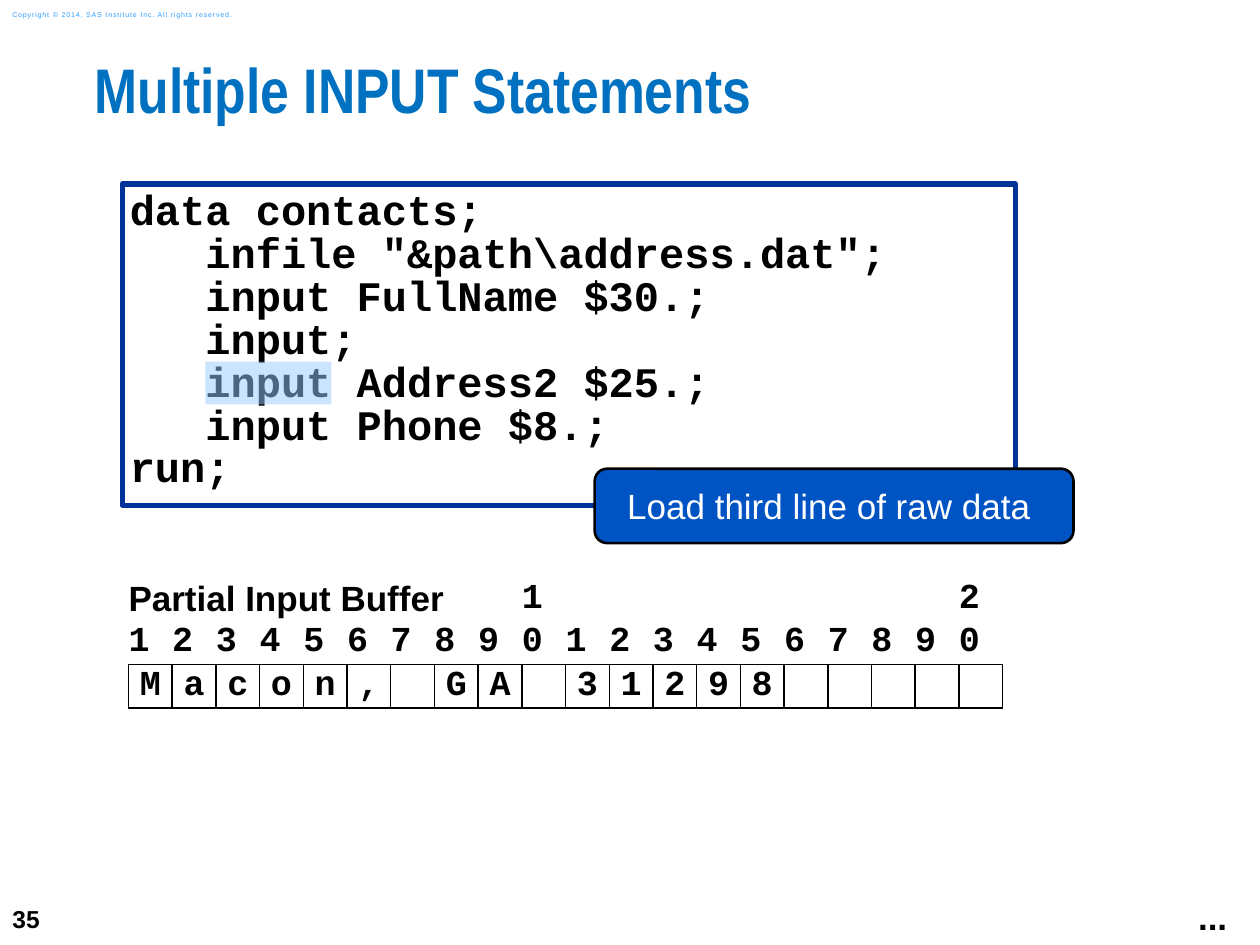
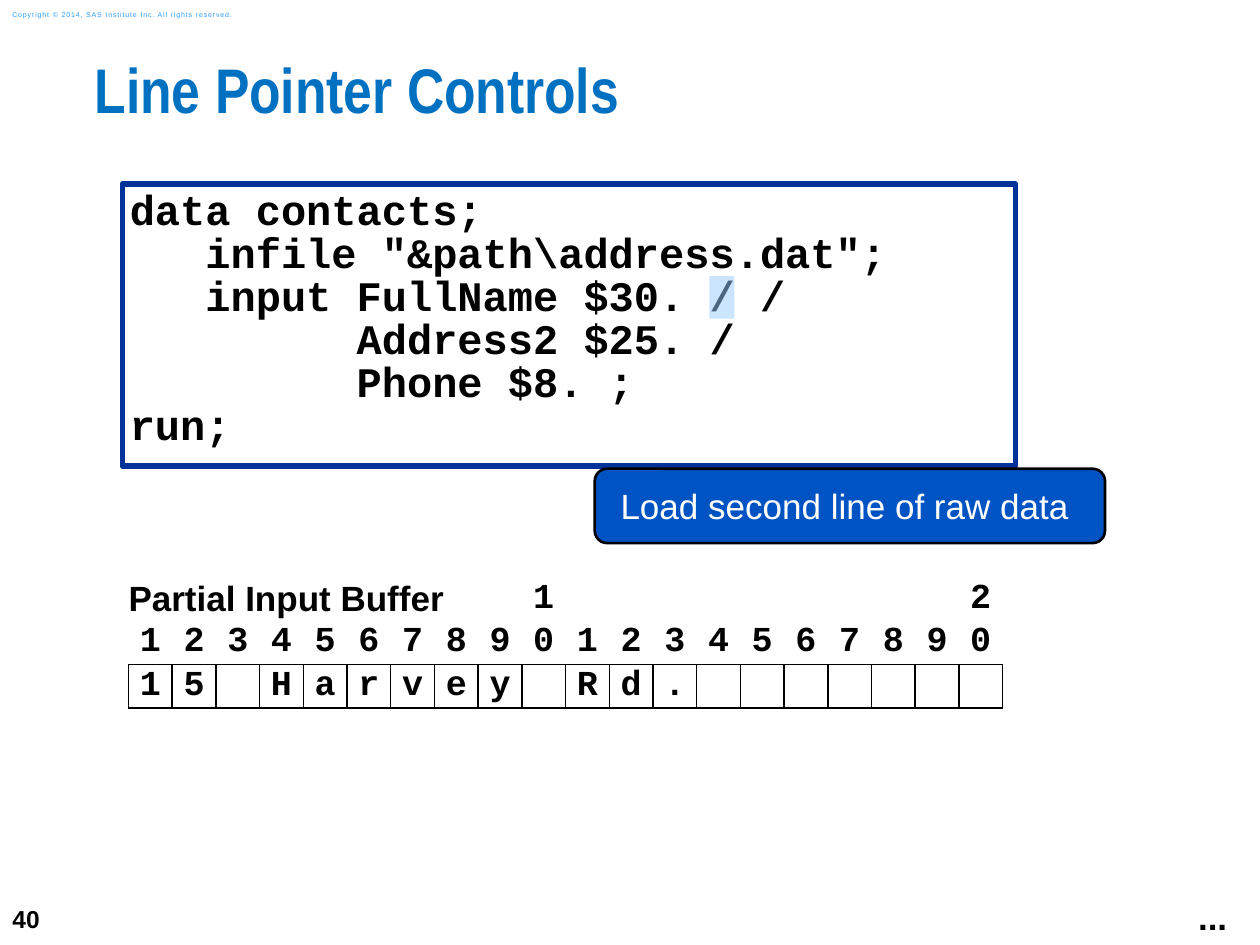
from lxml import etree
from pptx import Presentation
from pptx.dml.color import RGBColor
from pptx.enum.shapes import MSO_SHAPE
from pptx.enum.text import MSO_ANCHOR, PP_ALIGN
from pptx.oxml.ns import qn
from pptx.util import Inches, Pt

# Shared formats
BLACK, WHITE = "000000", "FFFFFF"
NUMBER = {"size": Pt(14), "name": "Arial", "bold": True, "color": BLACK}
COPYRIGHT = {"size": Pt(4), "name": "Arial", "bold": False, "color": "2A9CFF"}
TITLE = {"size": Pt(36), "name": "Arial Narrow", "bold": True, "color": "0070C0"}
LABEL = {"size": Pt(20), "name": "Arial", "bold": True, "color": BLACK}
CODE = {"size": Pt(24), "name": "Courier New", "bold": True, "color": BLACK}
CELL = {"size": Pt(20), "name": "Courier New", "bold": True, "color": BLACK}
CALLOUT = {"size": Pt(20), "name": "Arial", "bold": False, "color": WHITE}
NO_STYLE = "{2D5ABB26-0587-4C30-8999-92F81FD0307C}"
COLUMNS = 20

# What differs from slide to slide; mark is (code line, column, length)
slides = [
    {"number": "35", "title": "Multiple INPUT Statements",
     "code": ['data contacts;',
              '   infile "&path\\address.dat";',
              '   input FullName $30.;',
              '   input;',
              '   input Address2 $25.;',
              '   input Phone $8.;',
              'run;'],
     "code_height": 2.55, "mark": (4, 3, 5),
     "callout": "Load third line of raw data", "callout_width": 3.8,
     "buffer": "Macon, GA 31298", "ruler_align": PP_ALIGN.LEFT},
    {"number": "40", "title": "Line Pointer Controls",
     "code": ['data contacts;',
              '   infile "&path\\address.dat";',
              '   input FullName $30. / /',
              '         Address2 $25. /',
              '         Phone $8. ;',
              'run;'],
     "code_height": 2.24, "mark": (2, 23, 1),
     "callout": "Load second line of raw data", "callout_width": 4.05,
     "buffer": "15 Harvey Rd.", "ruler_align": PP_ALIGN.CENTER},
]


def rgb(value):
    return RGBColor.from_string(value)


def write(tf, lines, fmt, align=PP_ALIGN.LEFT, spacing=None, anchor=MSO_ANCHOR.TOP,
          insets=(0.1, 0.05, 0.1, 0.05), wrap=True):
    tf.word_wrap = wrap
    tf.vertical_anchor = anchor
    for side, inset in zip(("left", "top", "right", "bottom"), insets):
        setattr(tf, f"margin_{side}", Inches(inset))
    for i, line in enumerate(lines):
        p = tf.paragraphs[0] if i == 0 else tf.add_paragraph()
        p.alignment = align
        p.line_spacing = spacing
        r = p.add_run()
        r.text = line
        for key, value in fmt.items():
            if key == "color":
                r.font.color.rgb = rgb(value)
            else:
                setattr(r.font, key, value)


prs = Presentation()
prs.slide_width, prs.slide_height = Inches(10), Inches(7.5)

for data in slides:
    s = prs.slides.add_slide(prs.slide_layouts[6])

    # Slide number, copyright line, title and continuation dots
    for box, text, fmt, options in [
        ((0, 7.08, 0.58, 0.42), data["number"], NUMBER, {"anchor": MSO_ANCHOR.MIDDLE}),
        ((0, 0.03, 2.11, 0.17), "Copyright © 2014, SAS Institute Inc. All rights reserved.",
         COPYRIGHT, {"anchor": MSO_ANCHOR.MIDDLE}),
        ((0.75, 0.5, 9.25, 0.74), data["title"], TITLE,
         {"spacing": 0.83, "insets": (0, 0, 0, 0)}),
        ((9.41, 7.06, 0.43, 0.44), "...", LABEL,
         {"align": PP_ALIGN.CENTER, "wrap": False}),
    ]:
        sp = s.shapes.add_textbox(*map(Inches, box))
        write(sp.text_frame, [text], fmt, **options)
        if fmt is COPYRIGHT:
            sp.text_frame.paragraphs[0].runs[0].font._element.set("spc", "50")

    # Code box and callout
    for kind, box, fill, line, width, lines, fmt, options in [
        (MSO_SHAPE.RECTANGLE, (0.97, 1.46, 7.09, data["code_height"]), WHITE, "003399", 3,
         data["code"], CODE, {"spacing": 0.85, "insets": (0.06, 0.06, 0.06, 0.06)}),
        (MSO_SHAPE.ROUNDED_RECTANGLE, (4.72, 3.72, data["callout_width"], 0.59),
         "0053C3", BLACK, 1.5, [data["callout"]], CALLOUT,
         {"align": PP_ALIGN.CENTER, "anchor": MSO_ANCHOR.MIDDLE,
          "insets": (0.1, 0.1, 0.18, 0.1)}),
    ]:
        sp = s.shapes.add_shape(kind, *map(Inches, box))
        sp.shadow.inherit = False
        sp.fill.solid()
        sp.fill.fore_color.rgb = rgb(fill)
        sp.line.color.rgb = rgb(line)
        sp.line.width = Pt(width)
        write(sp.text_frame, lines, fmt, **options)

    # Input buffer: tens, units and one character per column
    table = s.shapes.add_table(3, COLUMNS, Inches(1.02), Inches(4.58),
                               Inches(6.94), Inches(1.04)).table
    table.first_row = table.horz_banding = False
    table._tbl.tblPr.find(qn("a:tableStyleId")).text = NO_STYLE
    units = [str(n % 10) for n in range(1, COLUMNS + 1)]
    tens = [str(n // 10) if n % 10 == 0 else "" for n in range(1, COLUMNS + 1)]
    tens[0] = "Partial Input Buffer"
    for row, texts in enumerate([tens, units, data["buffer"].ljust(COLUMNS)]):
        for col, text in enumerate(texts):
            cell = table.cell(row, col)
            cell.fill.background()
            cell.vertical_anchor = MSO_ANCHOR.MIDDLE
            cell.margin_left = cell.margin_right = 0
            cell.margin_top = cell.margin_bottom = 0
            p = cell.text_frame.paragraphs[0]
            p.alignment = PP_ALIGN.CENTER if row == 2 else data["ruler_align"]
            fmt = CELL
            if (row, col) == (0, 0):
                p.alignment, fmt = PP_ALIGN.LEFT, LABEL
            if text.strip():
                r = p.add_run()
                r.text = text
                for key in ("size", "name", "bold"):
                    setattr(r.font, key, fmt[key])
                r.font.color.rgb = rgb(fmt["color"])
            # Borders go before the fill in the cell properties
            tc_pr = cell._tc.get_or_add_tcPr()
            sides = [(), ("lnB",), ("lnL", "lnR", "lnT", "lnB")][row]
            for i, side in enumerate(sides):
                ln = etree.Element(qn(f"a:{side}"), w=str(Pt(1)))
                solid = etree.SubElement(ln, qn("a:solidFill"))
                etree.SubElement(solid, qn("a:srgbClr"), val=BLACK)
                tc_pr.insert(i, ln)
    table.cell(0, 0).merge(table.cell(0, 8))

    # Translucent mark over the current code word
    line, col, length = data["mark"]
    sp = s.shapes.add_shape(MSO_SHAPE.RECTANGLE, Inches(1.03 + 0.2 * col),
                            Inches(1.51 + 0.34 * line), Inches(0.2 * length), Inches(0.34))
    sp.shadow.inherit = False
    sp.line.fill.background()
    sp.fill.solid()
    sp.fill.fore_color.rgb = rgb("99CCFF")
    color = sp._element.spPr.find(qn("a:solidFill")).find(qn("a:srgbClr"))
    etree.SubElement(color, qn("a:alpha"), val="50000")

prs.save("out.pptx")
